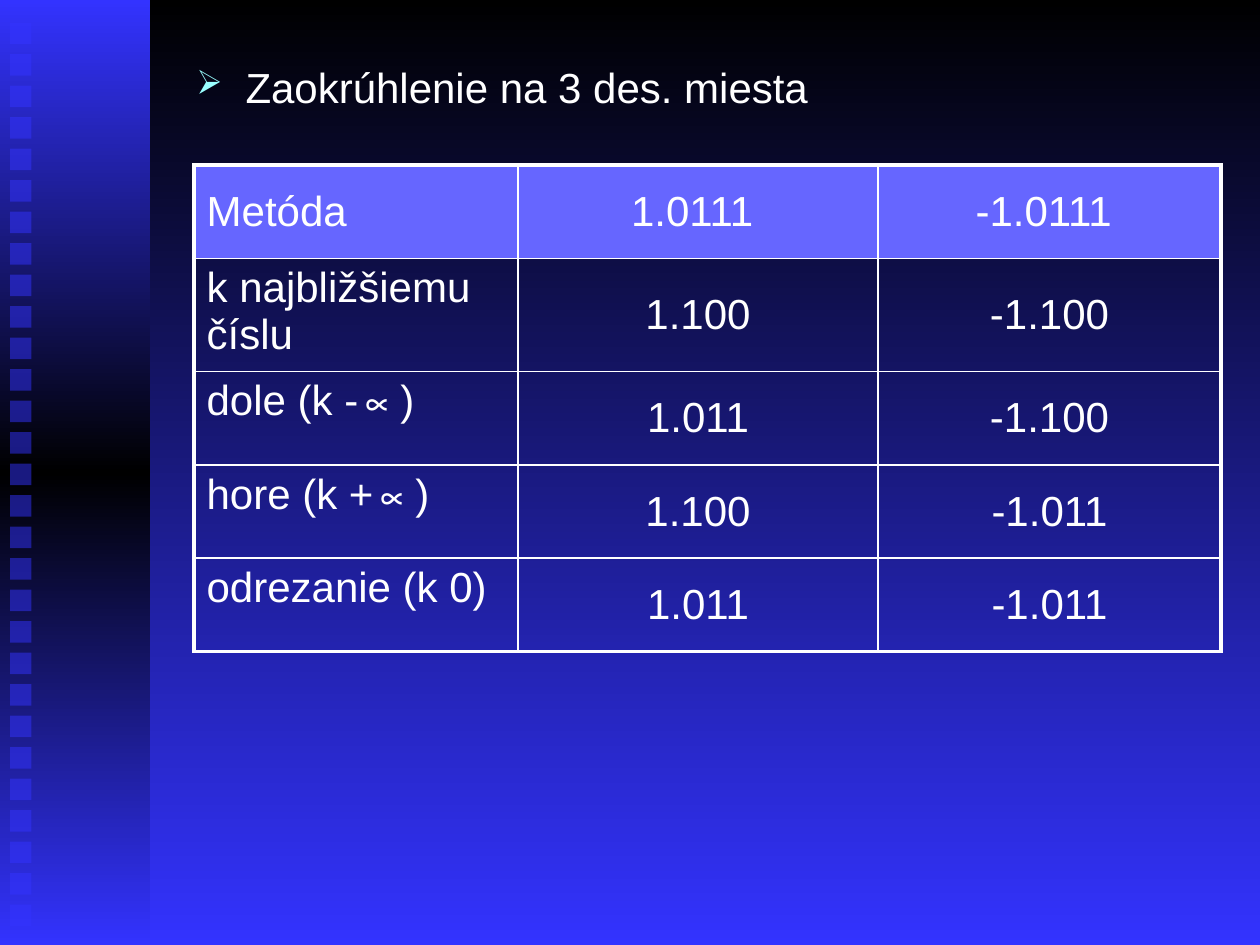
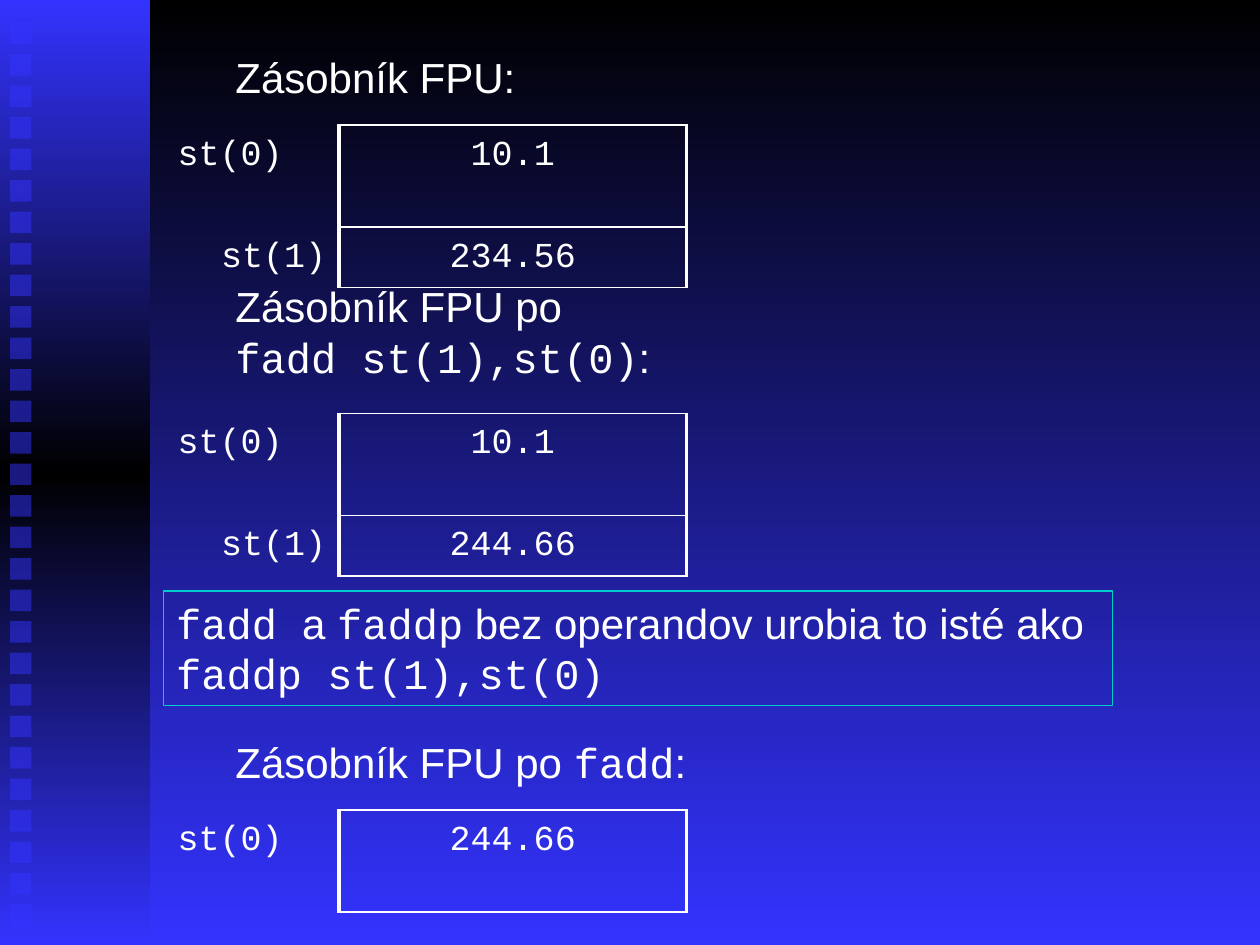
from copy import deepcopy

from lxml.etree import SubElement
from pptx import Presentation
from pptx.dml.color import RGBColor
from pptx.enum.shapes import MSO_SHAPE as SHAPE
from pptx.enum.text import MSO_ANCHOR as ANCHOR, PP_ALIGN as ALIGN
from pptx.oxml.ns import qn
from pptx.util import Inches, Pt

BLACK = RGBColor(0x00, 0x00, 0x00)
WHITE = RGBColor(0xFF, 0xFF, 0xFF)
BLUE = RGBColor(0x33, 0x33, 0xFF)
HEADER = RGBColor(0x66, 0x66, 0xFF)
TEAL = RGBColor(0x00, 0xCC, 0xCC)
CYAN = RGBColor(0x99, 0xFF, 0xFF)
SANS, MONO = "Arial", "Courier New"
THICK, THIN = 2.25, 1
NO_STYLE = "{2D5ABB26-0587-4C30-8999-92F81FD0307C}"


# Text: a paragraph is a list of (text, font) runs
def write_text(tf, *paragraphs, size=24, color=WHITE, align=ALIGN.LEFT, bullet=None):
    tf.word_wrap = True
    for i, runs in enumerate(paragraphs):
        p = tf.add_paragraph() if i else tf.paragraphs[0]
        p.alignment = align
        if bullet:
            add_bullet(p, bullet)
        for text, font in runs:
            r = p.add_run()
            r.text = text
            r.font.name, r.font.size = font, Pt(size)
            r.font.color.rgb = color


def add_bullet(p, char):
    pPr = p._p.get_or_add_pPr()
    pPr.set("marL", str(Inches(0.39)))
    pPr.set("indent", str(-Inches(0.39)))
    color = SubElement(pPr, qn("a:buClr"))
    SubElement(color, qn("a:srgbClr"), val=str(CYAN))
    SubElement(pPr, qn("a:buSzPct"), val="80000")
    SubElement(pPr, qn("a:buChar"), char=char)


def add_text(s, x, y, w, h, *paragraphs, **fmt):
    box = s.shapes.add_textbox(Inches(x), Inches(y), Inches(w), Inches(h))
    write_text(box.text_frame, *paragraphs, **fmt)
    return box


# Background and side band
def fill_gradient(fill, *colors):
    fill.gradient()
    fill.gradient_angle = 270
    stops = fill.gradient_stops
    while len(stops) < len(colors):
        stops[0]._gs.addnext(deepcopy(stops[0]._gs))
    for i, color in enumerate(colors):
        stops[i].color.rgb = color
        stops[i].position = i / (len(colors) - 1)


def add_rect(s, x, y, w, h):
    rect = s.shapes.add_shape(SHAPE.RECTANGLE, Inches(x), Inches(y), Inches(w), Inches(h))
    rect.shadow.inherit = False
    rect.line.fill.background()
    return rect


def add_slide(prs):
    s = prs.slides.add_slide(prs.slide_layouts[6])
    fill_gradient(s.background.fill, BLACK, BLUE)
    fill_gradient(add_rect(s, 0, 0, 1.19, 7.5).fill, BLUE, BLACK, BLUE)
    for i in range(29):
        square = add_rect(s, 0.08, 0.18 + 0.25 * i, 0.17, 0.17)
        square.fill.solid()
        square.fill.fore_color.rgb = BLUE
        for clr in square._element.spPr.iter(qn("a:srgbClr")):
            SubElement(clr, qn("a:alpha"), val="50000")
    return s


# Tables
def add_table(s, x, y, widths, heights):
    frame = s.shapes.add_table(len(heights), len(widths), Inches(x), Inches(y),
                               Inches(sum(widths)), Inches(sum(heights)))
    tbl = frame.table
    tbl.first_row = tbl.horz_banding = False
    for style in frame._element.iter(qn("a:tableStyleId")):
        style.text = NO_STYLE
    for col, w in zip(tbl.columns, widths):
        col.width = Inches(w)
    for row, h in zip(tbl.rows, heights):
        row.height = Inches(h)
    return tbl


def set_cell(cell, text, font, fill=None, borders=None, anchor=ANCHOR.TOP, **fmt):
    """Borders are the widths in points of the left, right, top and bottom sides."""
    write_text(cell.text_frame, [(text, font)], **fmt)
    cell.vertical_anchor = anchor
    for side, width in zip("LRTB", borders or ()):
        ln = SubElement(cell._tc.get_or_add_tcPr(), qn(f"a:ln{side}"), w=str(Pt(width)))
        SubElement(SubElement(ln, qn("a:solidFill")), qn("a:srgbClr"), val=str(WHITE))
    if fill is None:
        cell.fill.background()
    else:
        cell.fill.solid()
        cell.fill.fore_color.rgb = fill


def add_rounding_table(s, rows):
    tbl = add_table(s, 1.54, 1.31, [2.57, 2.86, 2.72], [0.74, 0.9, 0.74, 0.74, 0.74])
    last_row, last_col = len(rows) - 1, len(rows[0]) - 1
    for i, row in enumerate(rows):
        for j, text in enumerate(row):
            outer = (j == 0, j == last_col, i == 0, i == last_row)
            set_cell(tbl.cell(i, j), text, SANS,
                     fill=HEADER if i == 0 else None,
                     borders=[THICK if edge else THIN for edge in outer],
                     anchor=ANCHOR.MIDDLE if i == 0 or j else ANCHOR.TOP,
                     align=ALIGN.CENTER if j else ALIGN.LEFT)


def add_fpu_stack(s, y, *values):
    tbl = add_table(s, 1.22, y, [1.47, 2.76], [0.81, 0.48][:len(values)])
    for i, value in enumerate(values):
        label, content = tbl.cell(i, 0), tbl.cell(i, 1)
        label.margin_top = content.margin_top = Inches(0.09)
        if i == 0:
            label.margin_left = Inches(0.19)
        set_cell(label, f"st({i})", MONO, size=20,
                 align=ALIGN.RIGHT if i else ALIGN.LEFT)
        set_cell(content, value, MONO, size=20, align=ALIGN.CENTER,
                 borders=[THICK, THICK, THIN, THIN])


# Slides
def build_rounding_slide(prs):
    s = add_slide(prs)
    add_rounding_table(s, [
        ("Metóda", "1.0111 ", "-1.0111 "),
        ("k najbližšiemu číslu", "1.100", "-1.100"),
        ("dole (k -∝)", "1.011", "-1.100"),
        ("hore (k +∝)", "1.100", "-1.011"),
        ("odrezanie (k 0)", "1.011", "-1.011"),
    ])
    add_text(s, 1.46, 0.44, 5.98, 0.5, [("Zaokrúhlenie na 3 des. miesta", SANS)], bullet="➢")


def build_fpu_slide(prs):
    s = add_slide(prs)
    add_text(s, 1.77, 0.36, 2.83, 0.5, [("Zásobník FPU:", SANS)])
    add_fpu_stack(s, 0.99, "10.1", "234.56")

    add_text(s, 1.77, 2.18, 7.64, 0.91, [("Zásobník FPU po", SANS)],
             [("fadd st(1),st(0)", MONO), (":", SANS)])
    add_fpu_stack(s, 3.28, "10.1", "244.66")

    note = add_text(s, 1.3, 4.69, 7.53, 0.91, [
        ("fadd ", MONO), ("a ", SANS), ("faddp", MONO),
        (" bez operandov urobia to isté ako ", SANS), ("faddp st(1),st(0)", MONO)])
    note.line.color.rgb = TEAL
    note.line.width = Pt(0.75)

    add_text(s, 1.77, 5.8, 3.86, 0.5,
             [("Zásobník FPU po ", SANS), ("fadd", MONO), (":", SANS)])
    add_fpu_stack(s, 6.43, "244.66")


def main():
    prs = Presentation()
    prs.slide_width, prs.slide_height = Inches(10), Inches(7.5)
    build_rounding_slide(prs)
    build_fpu_slide(prs)
    prs.save("out.pptx")


if __name__ == "__main__":
    main()
